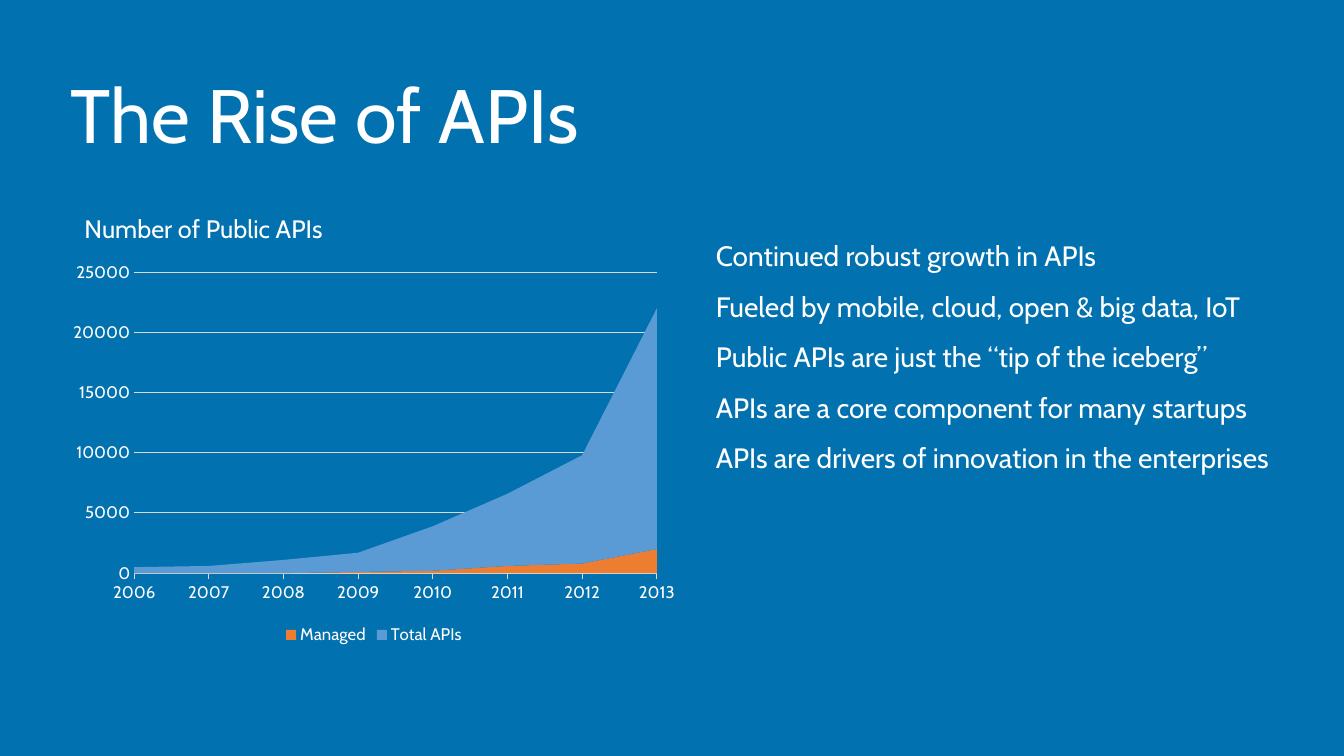
from lxml import etree
from pptx import Presentation
from pptx.chart.data import CategoryChartData
from pptx.dml.color import RGBColor
from pptx.enum.chart import XL_CHART_TYPE, XL_LEGEND_POSITION, XL_TICK_MARK
from pptx.enum.text import MSO_ANCHOR
from pptx.oxml.ns import qn
from pptx.util import Pt

AREA = XL_CHART_TYPE.AREA_STACKED
BOTTOM = XL_LEGEND_POSITION.BOTTOM
OUT, NONE = XL_TICK_MARK.OUTSIDE, XL_TICK_MARK.NONE
TOP, MIDDLE = MSO_ANCHOR.TOP, MSO_ANCHOR.MIDDLE

WIDE, HIGH = 1344, 756
SCALE = 12192000 / WIDE
FACE = "Cabin"
COLORS = {
    "back": "0171B0",
    "text": "FFFFFF",
    "grid": "D9D9D9",
    "Managed": "ED7D31",
    "Total APIs": "5B9BD5",
}
YEARS = [str(year) for year in range(2006, 2014)]
COUNTS = {
    "Managed": [0, 0, 0, 100, 200, 600, 800, 2000],
    "Total APIs": [500, 600, 1100, 1600, 3700, 6000, 9000, 20000],
}
POINTS = [
    "Continued robust growth in APIs",
    "Fueled by mobile, cloud, open & big data, IoT",
    "Public APIs are just the “tip of the iceberg”",
    "APIs are a core component for many startups",
    "APIs are drivers of innovation in the enterprises",
]


def emu(px):
    """Turn px into EMU."""
    return round(px * SCALE)


def color(name):
    """Return the named colour."""
    return RGBColor.from_string(COLORS[name])


def style(font, size):
    """Set the face, size and colour of a font."""
    font.name = FACE
    font.size = Pt(size)
    font.bold = False
    font.color.rgb = color("text")


def write(frame, text, size=20, after=None, line=None):
    """Fill a text frame, one paragraph for each line of text."""
    for i, part in enumerate(text.split("\n")):
        para = frame.add_paragraph() if i else frame.paragraphs[0]
        if after is not None:
            para.space_after = Pt(after)
        if line is not None:
            para.line_spacing = line
        run = para.add_run()
        run.text = part
        style(run.font, size)


def add_box(slide, area, text, anchor=TOP, **form):
    """Add a wrapped text box."""
    frame = slide.shapes.add_textbox(*map(emu, area)).text_frame
    frame.word_wrap = True
    frame.vertical_anchor = anchor
    write(frame, text, **form)


def place(node, index, **parts):
    """Give a chart part a fixed layout, as shares of the chart."""
    for old in node.findall(qn("c:layout")):
        node.remove(old)
    layout = etree.Element(qn("c:layout"))
    manual = etree.SubElement(layout, qn("c:manualLayout"))
    for tag, value in parts.items():
        etree.SubElement(manual, qn("c:" + tag)).set("val", str(value))
    node.insert(index, layout)


def set_axis(axis, tick):
    """Style the labels and ticks of an axis."""
    axis.major_tick_mark = tick
    axis.minor_tick_mark = NONE
    style(axis.tick_labels.font, 12)


def set_line(line):
    """Draw a thin pale line."""
    line.color.rgb = color("grid")
    line.width = Pt(0.75)


def add_graph(slide, area):
    """Add the stacked area chart of API counts."""
    data = CategoryChartData(number_format="General")
    data.categories = YEARS
    for name, values in COUNTS.items():
        data.add_series(name, values)
    chart = slide.shapes.add_chart(AREA, *map(emu, area), data).chart
    style(chart.font, 12)
    for series in chart.plots[0].series:
        series.format.fill.solid()
        series.format.fill.fore_color.rgb = color(series.name)

    set_axis(chart.category_axis, OUT)
    chart.category_axis.has_major_gridlines = False
    set_line(chart.category_axis.format.line)
    values = chart.value_axis
    set_axis(values, NONE)
    values.minimum_scale, values.maximum_scale = 0, 25000
    values.major_unit = 5000
    values.format.line.fill.background()
    set_line(values.major_gridlines.format.line)

    chart.has_legend = True
    chart.legend.position = BOTTOM
    chart.legend.include_in_layout = False
    style(chart.legend.font, 12)

    chart.has_title = True
    title = chart.chart_title
    write(title.text_frame, "Number of Public APIs", size=18)
    title.include_in_layout = False
    place(title._element, 1, xMode="edge", yMode="edge", x=0.03, y=0.03)
    plot = chart._chartSpace.find(".//" + qn("c:plotArea"))
    place(plot, 0, layoutTarget="inner", xMode="edge", yMode="edge",
          x=0.117, y=0.174, w=0.835, h=0.66)


def main():
    """Build and save the slide."""
    deck = Presentation()
    deck.slide_width, deck.slide_height = emu(WIDE), emu(HIGH)
    slide = deck.slides.add_slide(deck.slide_layouts[6])
    slide.background.fill.solid()
    slide.background.fill.fore_color.rgb = color("back")
    add_graph(slide, (61, 193, 626, 456))
    add_box(slide, (706, 234, 616, 374), "\n".join(POINTS), after=12)
    add_box(slide, (61, 46, 1222, 146), "The Rise of APIs",
            anchor=MIDDLE, size=54, line=0.9)
    deck.save("out.pptx")


if __name__ == "__main__":
    main()
